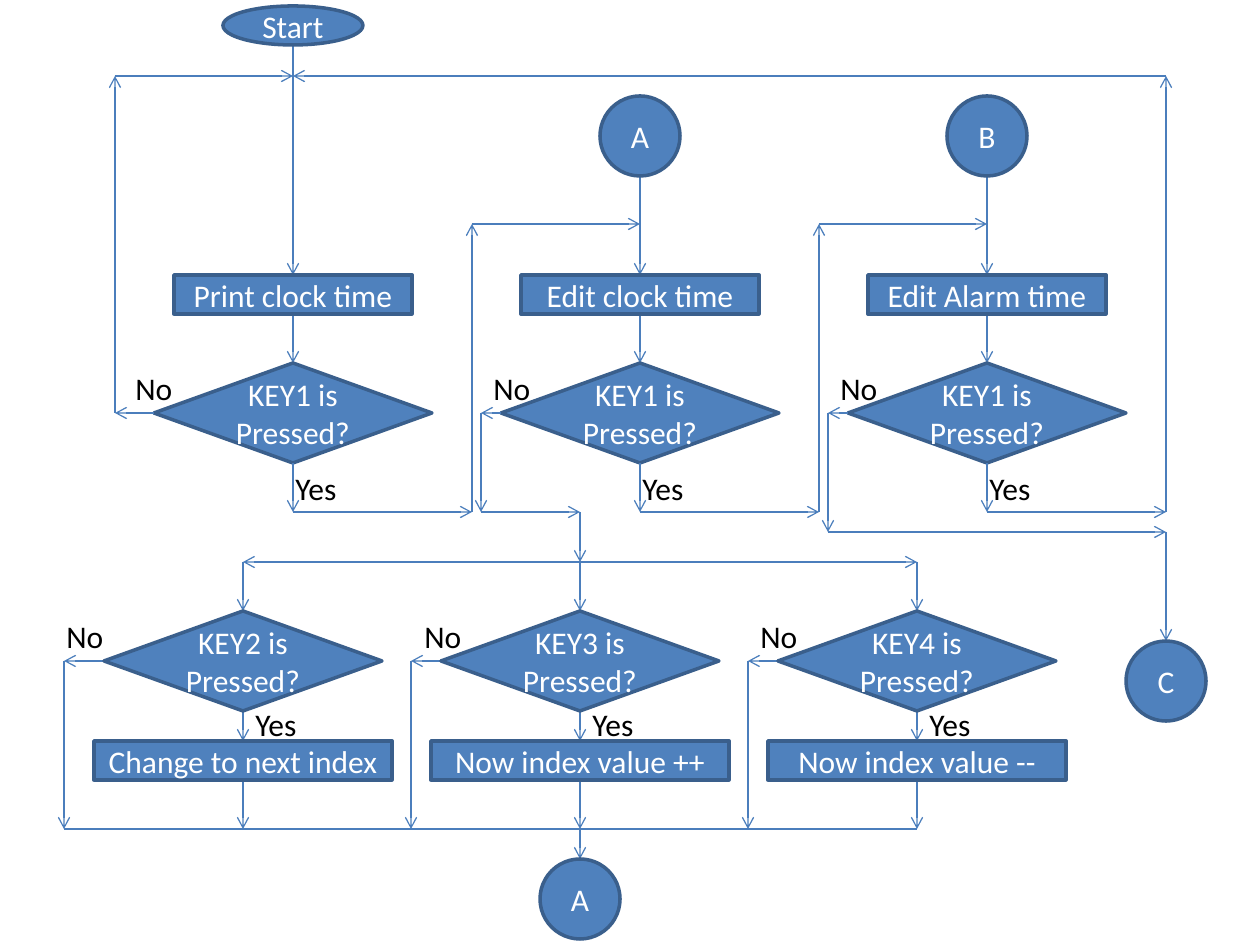
from dataclasses import dataclass
from itertools import pairwise

from lxml.etree import SubElement
from pptx import Presentation
from pptx.dml.color import RGBColor
from pptx.enum.shapes import MSO_CONNECTOR, MSO_SHAPE
from pptx.enum.text import MSO_ANCHOR, MSO_AUTO_SIZE, PP_ALIGN
from pptx.oxml.ns import qn
from pptx.util import Emu, Pt

EMU_PER_PX = 914400 / 126


@dataclass(frozen=True)
class Theme:
    fill: RGBColor = RGBColor(0x4F, 0x81, 0xBD)
    outline: RGBColor = RGBColor(0x3A, 0x5F, 0x8C)
    flow: RGBColor = RGBColor(0x4B, 0x7E, 0xBC)
    on_fill: RGBColor = RGBColor(0xFF, 0xFF, 0xFF)
    on_slide: RGBColor = RGBColor(0, 0, 0)
    font: str = "Calibri"
    text_size: Pt = Pt(18)
    outline_width: Pt = Pt(2)
    flow_width: Pt = Pt(0.75)


@dataclass(frozen=True)
class Box:
    left: int
    top: int
    width: int
    height: int

    @property
    def mid(self):
        return self.left + self.width // 2

    @property
    def bottom(self):
        return self.top + self.height

    def centred(self, top, width, height):
        """A box centred across this one, top px below its upper edge."""
        return Box(self.mid - width // 2, self.top + top, width, height)

    def emu(self):
        return [px(n) for n in (self.left, self.top, self.width, self.height)]


THEME = Theme()
CIRCLE = 80
STEP_HEIGHT = 39
DIAMOND = (278, 100)
LABEL = (69, 50)
LOOP_Y = 76
REENTRY_Y = 224
EXIT_X = 1166


def px(count):
    return Emu(round(count * EMU_PER_PX))


def apply(target, formats):
    for name, value in formats.items():
        setattr(target, name, value)


def write(frame, text, color, align, frame_formats):
    apply(frame, {"word_wrap": True, **frame_formats})
    paragraph = frame.paragraphs[0]
    paragraph.alignment = align
    run = paragraph.add_run()
    run.text = text
    apply(run.font, {"name": THEME.font, "size": THEME.text_size})
    run.font.color.rgb = color


def node(slide, preset, box, text):
    shape = slide.shapes.add_shape(preset, *box.emu())
    shape.shadow.inherit = False
    shape.fill.solid()
    shape.fill.fore_color.rgb = THEME.fill
    shape.line.color.rgb = THEME.outline
    shape.line.width = THEME.outline_width
    write(shape.text_frame, text, THEME.on_fill, PP_ALIGN.CENTER,
          {"vertical_anchor": MSO_ANCHOR.MIDDLE})


def label(slide, left, top, text):
    answer = slide.shapes.add_textbox(*Box(left, top, *LABEL).emu())
    write(answer.text_frame, text, THEME.on_slide, PP_ALIGN.LEFT,
          {"auto_size": MSO_AUTO_SIZE.SHAPE_TO_FIT_TEXT})


def flow(slide, *points, arrow=True):
    """Join the points with straight lines, each with its own arrowhead."""
    for start, end in pairwise(points):
        link = slide.shapes.add_connector(
            MSO_CONNECTOR.STRAIGHT, *map(px, (*start, *end)))
        link.line.color.rgb = THEME.flow
        link.line.width = THEME.flow_width
        properties = link.element.spPr
        if arrow:
            SubElement(properties.find(qn("a:ln")), qn("a:tailEnd"), type="arrow")
        SubElement(properties, qn("a:effectLst"))


def mode_column(slide, box, entry, entry_text, step_text, no_offset):
    """One mode: entry node, step and KEY1 test, with its two answers."""
    step = box.centred(199, 238, STEP_HEIGHT)
    test = box.centred(287, *DIAMOND)
    flow(slide, (box.mid, entry.bottom), (box.mid, step.top))
    flow(slide, (box.mid, step.bottom), (box.mid, test.top))
    node(slide, MSO_SHAPE.OVAL, entry, entry_text)
    node(slide, MSO_SHAPE.RECTANGLE, step, step_text)
    node(slide, MSO_SHAPE.DIAMOND, test, "KEY1 is Pressed?")
    label(slide, box.mid - 10, test.bottom, "Yes")
    label(slide, test.left + no_offset, test.top, "No")


def key_column(slide, box, test_text, step_text, turn, no_offset):
    """One editing key: test, step and the bypass taken on No."""
    test = box.centred(49, *DIAMOND)
    step = box.centred(179, 298, STEP_HEIGHT)
    middle = test.top + test.height // 2
    flow(slide, (box.mid, box.top), (box.mid, test.top))
    flow(slide, (box.mid, test.bottom), (box.mid, step.top))
    flow(slide, (box.mid, step.bottom), (box.mid, box.bottom))
    flow(slide, (test.left, middle), (test.left + turn, middle),
         (test.left + turn, box.bottom))
    node(slide, MSO_SHAPE.DIAMOND, test, test_text)
    node(slide, MSO_SHAPE.RECTANGLE, step, step_text)
    label(slide, box.mid, test.bottom - 12, "Yes")
    label(slide, test.left + no_offset, test.top, "No")


def columns_in(area, count, pitch):
    return [Box(area.left + i * pitch, area.top, DIAMOND[0], area.height)
            for i in range(count)]


def mode_section(slide, area):
    """Three modes in a row, chained by their Yes answers."""
    modes = [("Start", "Print clock time", -31), ("A", "Edit clock time", -20),
             ("B", "Edit Alarm time", -20)]
    columns = columns_in(area, len(modes), 347)
    for column, (entry_text, step_text, no_offset) in zip(columns, modes):
        entry = (column.centred(-70, 140, STEP_HEIGHT) if column is columns[0]
                 else column.centred(20, CIRCLE, CIRCLE))
        mode_column(slide, column, entry, entry_text, step_text, no_offset)
    targets = [(columns[1].mid, REENTRY_Y), (columns[2].mid, REENTRY_Y),
               (columns[0].mid, LOOP_Y)]
    for column, target in zip(columns, targets):
        exit_x = column.mid + 179
        flow(slide, (column.mid, column.bottom - 49), (column.mid, column.bottom),
             (exit_x, column.bottom), (exit_x, target[1]), target)
    return columns


def key_section(slide, area):
    """Three key tests in a row, fed by one branch and merged into A."""
    keys = [("KEY2 is Pressed?", "Change to next index", -40, -50),
            ("KEY3 is Pressed?", "Now index value ++", -30, -29),
            ("KEY4 is Pressed?", "Now index value --", -30, -30)]
    columns = columns_in(area, len(keys), 337)
    for column, key in zip(columns, keys):
        key_column(slide, column, *key)
    first, centre, last = columns
    for side in (first, last):
        flow(slide, (centre.mid, area.top), (side.mid, area.top))
    flow(slide, (first.left - 40, area.bottom), (last.mid, area.bottom), arrow=False)
    end = centre.centred(area.height + 30, CIRCLE, CIRCLE)
    flow(slide, (centre.mid, area.bottom), (centre.mid, end.top))
    node(slide, MSO_SHAPE.OVAL, end, "A")
    return centre


def no_routes(slide, modes, key_centre):
    """Where each mode goes when KEY1 is not pressed."""
    show, clock, alarm = modes
    middle = show.top + 337
    flow(slide, (show.left, middle), (show.left - 39, middle),
         (show.left - 39, LOOP_Y), (show.mid, LOOP_Y))
    flow(slide, (clock.left, middle), (clock.left - 20, middle),
         (clock.left - 20, clock.bottom), (key_centre.mid, clock.bottom),
         (key_centre.mid, key_centre.top))
    drop = alarm.bottom + 20
    exit_node = Box(EXIT_X - CIRCLE // 2, 641, CIRCLE, CIRCLE)
    flow(slide, (alarm.left, middle), (alarm.left - 20, middle),
         (alarm.left - 20, drop), (EXIT_X, drop), (EXIT_X, exit_node.top))
    node(slide, MSO_SHAPE.OVAL, exit_node, "C")


def main():
    deck = Presentation()
    apply(deck, {"slide_width": px(1260), "slide_height": px(945)})
    slide = deck.slides.add_slide(deck.slide_layouts[6])
    modes = mode_section(slide, Box(154, LOOP_Y, 972, 436))
    key_centre = key_section(slide, Box(104, 562, 952, 267))
    no_routes(slide, modes, key_centre)
    deck.save("out.pptx")


if __name__ == "__main__":
    main()
